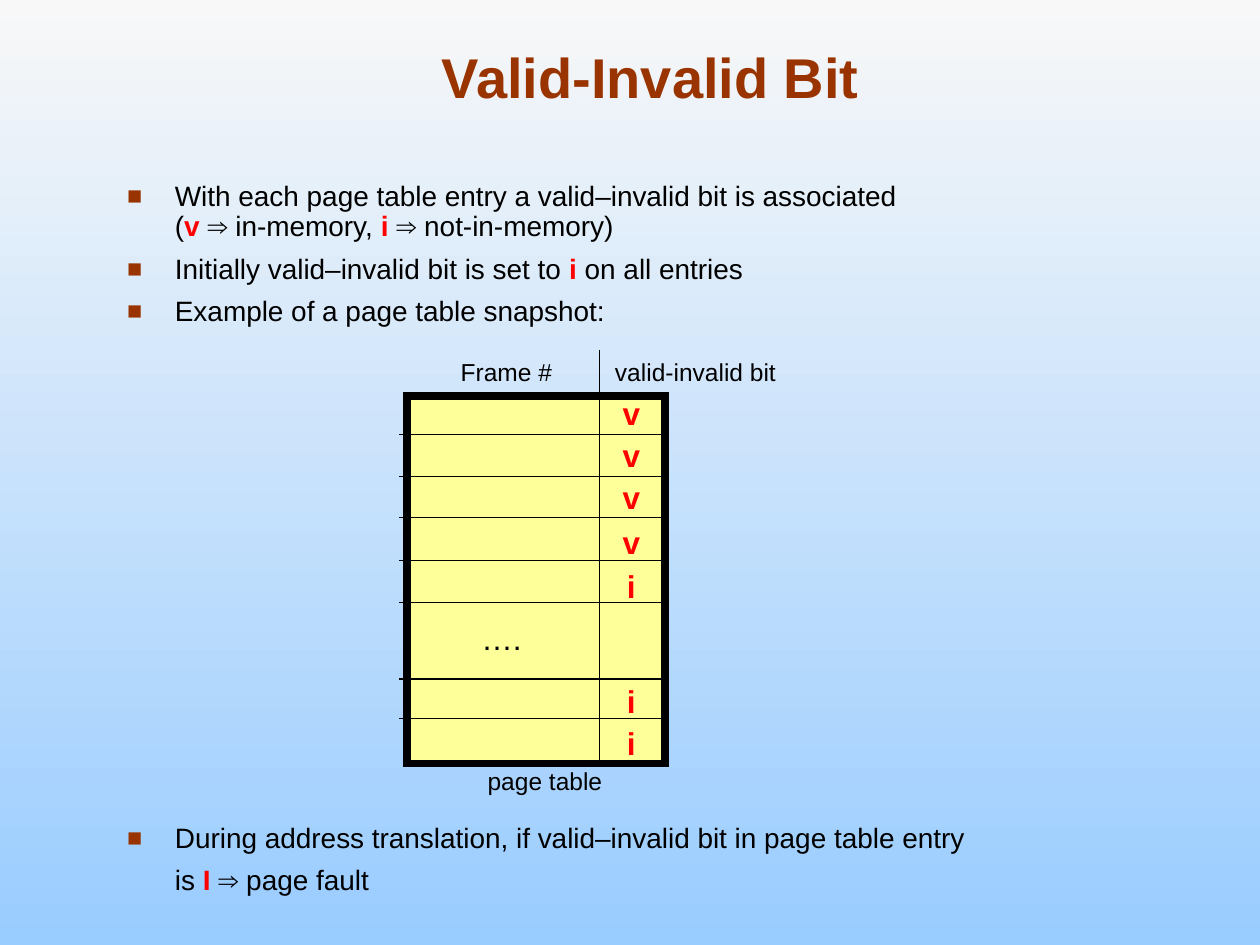
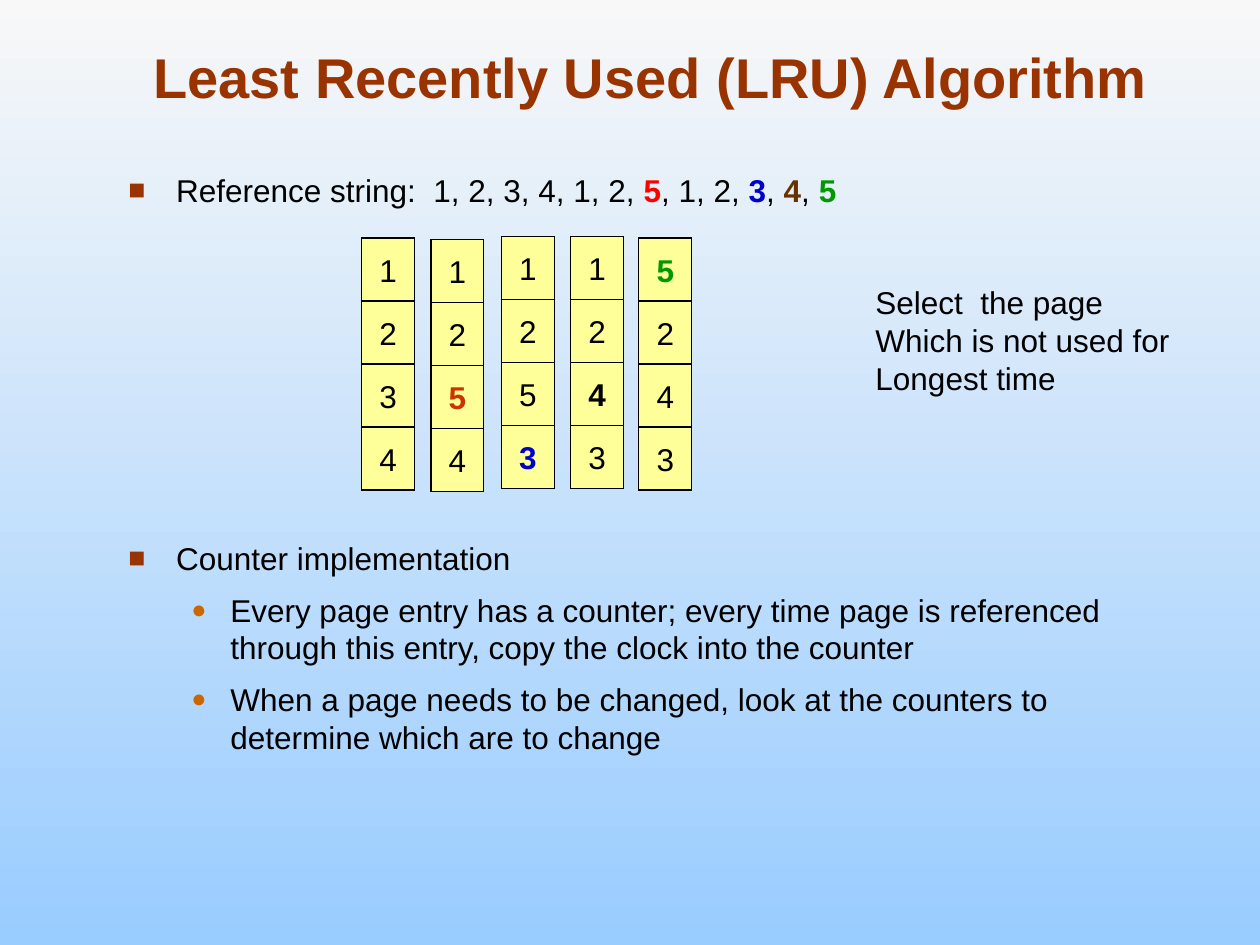
from lxml import etree
from pptx import Presentation
from pptx.dml.color import RGBColor
from pptx.enum.shapes import MSO_CONNECTOR, MSO_SHAPE
from pptx.enum.text import MSO_ANCHOR, MSO_AUTO_SIZE, PP_ALIGN
from pptx.oxml.ns import qn
from pptx.util import Inches, Pt

LEFT, CENTER = PP_ALIGN.LEFT, PP_ALIGN.CENTER
TOP, MIDDLE, BOTTOM = MSO_ANCHOR.TOP, MSO_ANCHOR.MIDDLE, MSO_ANCHOR.BOTTOM
FIT_SHAPE = MSO_AUTO_SIZE.SHAPE_TO_FIT_TEXT
RECTANGLE, STRAIGHT = MSO_SHAPE.RECTANGLE, MSO_CONNECTOR.STRAIGHT

FONT = "Arial"
COLORS = {
    "sky_top": "F8F8F8", "sky_bottom": "99CCFF", "title": "993300",
    "black": "000000", "red": "FF0000", "blue": "0000CC", "brown": "663300",
    "green": "009900", "rust": "CC3300", "orange": "CC6600", "cell": "FFFF99",
}
# Level: left margin, hanging indent, bullet, bullet colour, bullet size in percent
LEVELS = {
    "main": (0.38, -0.38, "■", "title", 90),
    "sub": (0.81, -0.31, "●", "orange", 80),
    "continued": (0.38, 0, None, None, None),
}

# Paragraph: level, space before, spans. A span with a colour is bold.
VALID_BIT = {
    "title": "Valid-Invalid Bit",
    "at": (0.91, 1.4, 7.92, 6.25), "size": 16, "line_spacing": 0.9,
    "body": [
        ("main", 7, [
            "With each page table entry a valid–invalid bit is associated\n(",
            ("v ", "red"), "⇒ in-memory, ", ("i ", "red"), "⇒ not-in-memory)"]),
        ("main", 7, ["Initially valid–invalid bit is set to", (" i ", "red"),
                     "on all entries"]),
        ("main", 7, ["Example of a page table snapshot:"]),
        ("main", 283.5, ["During address translation, if valid–invalid bit "
                         "in page table entry"]),
        ("continued", 7, ["is", (" I ", "red"), "⇒ page fault"]),
    ],
}
LRU = {
    "title": "Least Recently Used (LRU) Algorithm",
    "at": (0.92, 1.31, 8.04, 4.9), "size": 18, "line_spacing": 1.0,
    "body": [
        ("main", 7.9, ["Reference string:  1, 2, 3, 4, 1, 2, ", ("5", "red"),
                       ", 1, 2, ", ("3", "blue"), ", ", ("4", "brown"), ", ",
                       ("5", "green")]),
        ("main", 188.5, ["Counter implementation"]),
        ("sub", 7.9, ["Every page entry has a counter; every time page is referenced "
                      "through this entry, copy the clock into the counter"]),
        ("sub", 7.9, ["When a page needs to be changed, look at the counters to "
                      "determine which are to change"]),
    ],
}

PAGE_TABLE = (3.23, 3.14, 2.05, 2.92)
ROW_LINES = [3.45, 3.78, 4.11, 4.45, 4.78, 5.39, 5.7]
ROW_LINE_ENDS = (3.17, 5.26)
BIT_LINE = (4.76, 2.78, 4.76, 6.03)
BIT_CENTER = 5.01
BIT_MARKS = [("v", 3.08), ("v", 3.41), ("v", 3.74), ("v", 4.1),
             ("i", 4.45), ("i", 5.36), ("i", 5.7)]
TABLE_LABELS = [
    ("….", 18, (3.72, 4.86, 0.52, 0.4)),
    ("Frame #", 14, (3.5, 2.78, 1.04, 0.34)),
    ("valid-invalid bit", 14, (4.76, 2.78, 1.52, 0.34)),
    ("page table", 14, (3.77, 6.03, 1.11, 0.34)),
]

# Frame column: left, top, pages held
FRAME_COLUMNS = [
    (2.87, 1.89, ["1", "2", "3", "4"]),
    (3.42, 1.9, ["1", "2", ("5", "rust"), "4"]),
    (3.98, 1.88, ["1", "2", "5", ("3", "blue")]),
    (4.53, 1.88, ["1", "2", ("4", "black"), "3"]),
    (5.07, 1.89, [("5", "green"), "2", "4", "3"]),
]
FRAME_WIDTH, FRAME_HEIGHT = 0.42, 0.5
ADVICE = ["Select  the page", "Which is not used for", "Longest time"]
ADVICE_AT = (6.85, 2.2, 2.6, 1)


def rgb(name):
    return RGBColor.from_string(COLORS[name])


def inches(values):
    return [Inches(value) for value in values]


def set_frame(shape, **values):
    for name, value in values.items():
        setattr(shape.text_frame, name, value)


def write_spans(para, spans, size):
    for span in spans:
        text, color = (span, None) if isinstance(span, str) else span
        for number, line in enumerate(text.split("\n")):
            if number:
                para.add_line_break()
            run = para.add_run()
            run.text = line
            font = {"name": FONT, "size": Pt(size), "bold": color is not None}
            for name, value in font.items():
                setattr(run.font, name, value)
            run.font.color.rgb = rgb(color or "black")


def write_paragraphs(shape, paragraphs, size, align):
    """Write one list of spans per paragraph and return the paragraphs."""
    frame = shape.text_frame
    for number, spans in enumerate(paragraphs):
        para = frame.add_paragraph() if number else frame.paragraphs[0]
        para.alignment = align
        write_spans(para, spans, size)
    return frame.paragraphs


def add_text(page, at, paragraphs, size, align=CENTER, anchor=MIDDLE, wrap=False):
    box = page.shapes.add_textbox(*inches(at))
    set_frame(box, word_wrap=wrap, vertical_anchor=anchor)
    if not wrap:
        set_frame(box, auto_size=FIT_SHAPE)
    return write_paragraphs(box, paragraphs, size, align)


def set_level(para, level):
    margin, indent, bullet, color, percent = LEVELS[level]
    properties = para._p.get_or_add_pPr()
    properties.set("marL", str(Inches(margin)))
    properties.set("indent", str(Inches(indent)))
    if bullet:
        holder = etree.SubElement(properties, qn("a:buClr"))
        etree.SubElement(holder, qn("a:srgbClr"), val=COLORS[color])
        etree.SubElement(properties, qn("a:buSzPct"), val=str(percent * 1000))
        etree.SubElement(properties, qn("a:buFont"), typeface=FONT)
        etree.SubElement(properties, qn("a:buChar"), char=bullet)


def add_box(page, at, line_width):
    box = page.shapes.add_shape(RECTANGLE, *inches(at))
    box.shadow.inherit = False
    box.fill.solid()
    box.fill.fore_color.rgb = rgb("cell")
    box.line.color.rgb = rgb("black")
    box.line.width = Pt(line_width)
    outline = box._element.spPr.find(qn("a:ln"))
    etree.SubElement(outline, qn("a:miter"), lim="800000")
    return box


def add_line(page, ends):
    line = page.shapes.add_connector(STRAIGHT, *inches(ends))
    line.line.color.rgb = rgb("black")
    line.line.width = Pt(0.75)
    etree.SubElement(line._element.spPr, qn("a:effectLst"))


def add_page(deck, content):
    """Add a slide with the shared background, title and bulleted body."""
    page = deck.slides.add_slide(deck.slide_layouts[6])
    fill = page.background.fill
    fill.gradient()
    fill.gradient_angle = 270
    for stop, color in zip(fill.gradient_stops, ("sky_top", "sky_bottom")):
        stop.color.rgb = rgb(color)
    add_text(page, (0.75, 0.25, 8.83, 0.67), [[(content["title"], "title")]], 32,
             anchor=BOTTOM, wrap=True)
    body = content["body"]
    paragraphs = add_text(page, content["at"], [spans for _, _, spans in body],
                          content["size"], LEFT, TOP, wrap=True)
    for para, (level, space, _) in zip(paragraphs, body):
        para.line_spacing = content["line_spacing"]
        para.space_before = Pt(space)
        set_level(para, level)
    return page


def draw_page_table(page):
    add_box(page, PAGE_TABLE, 4.5)
    start, end = ROW_LINE_ENDS
    for height in ROW_LINES:
        add_line(page, (start, height, end, height))
    add_line(page, BIT_LINE)
    for mark, top in BIT_MARKS:
        width = 0.34 if mark == "v" else 0.27
        add_text(page, (BIT_CENTER - width / 2, top, width, 0.4), [[(mark, "red")]], 18)
    for label, size, at in TABLE_LABELS:
        add_text(page, at, [[label]], size)


def draw_frames(page):
    for left, top, held in FRAME_COLUMNS:
        for row, number in enumerate(held):
            at = (left, top + row * FRAME_HEIGHT, FRAME_WIDTH, FRAME_HEIGHT)
            cell = add_box(page, at, 0.75)
            set_frame(cell, word_wrap=False, vertical_anchor=MIDDLE)
            write_paragraphs(cell, [[number]], 18, CENTER)
    add_text(page, ADVICE_AT, [[line] for line in ADVICE], 18, LEFT, TOP)


def main():
    deck = Presentation()
    deck.slide_width, deck.slide_height = Inches(10), Inches(7.5)
    draw_page_table(add_page(deck, VALID_BIT))
    draw_frames(add_page(deck, LRU))
    deck.save("out.pptx")


if __name__ == "__main__":
    main()
